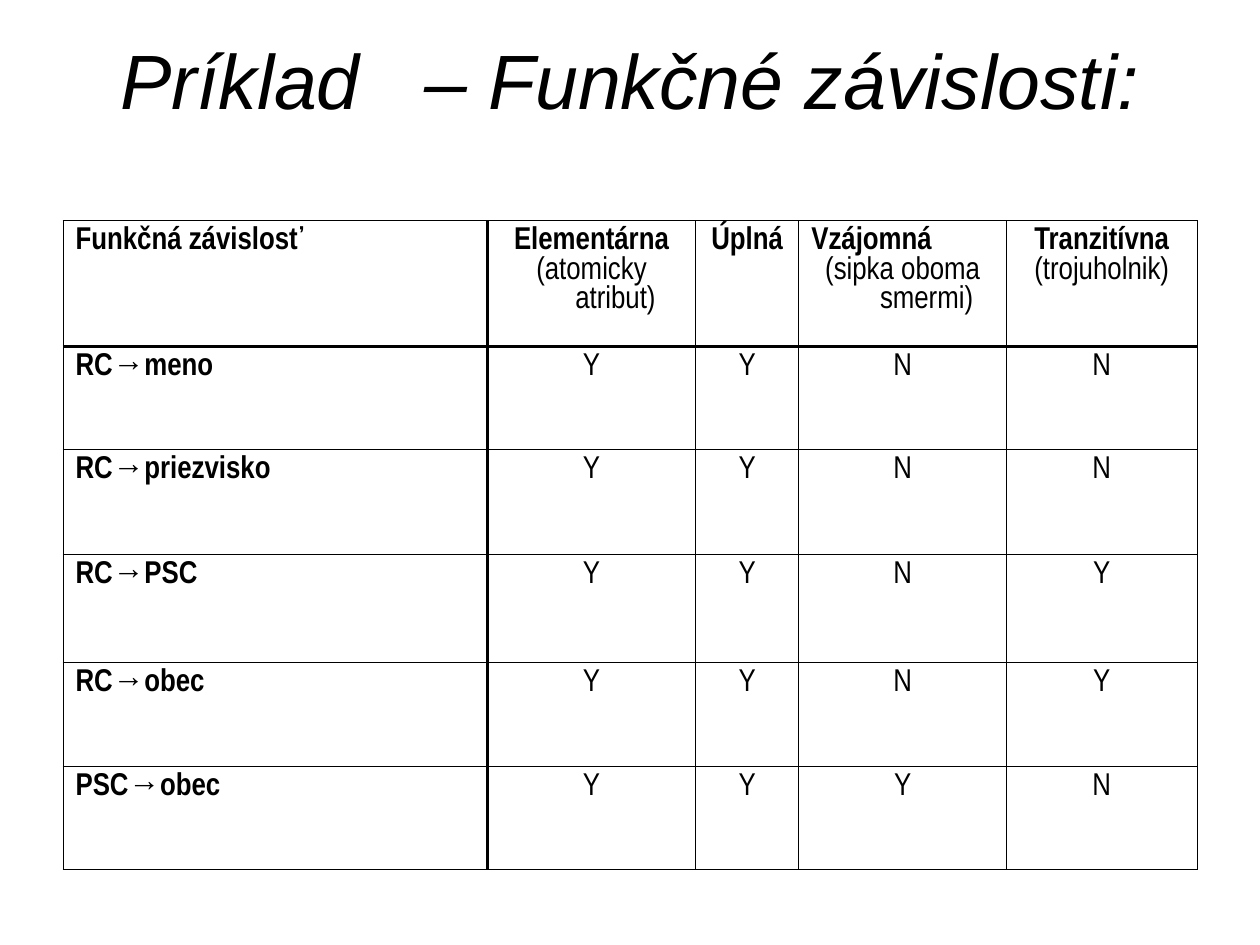
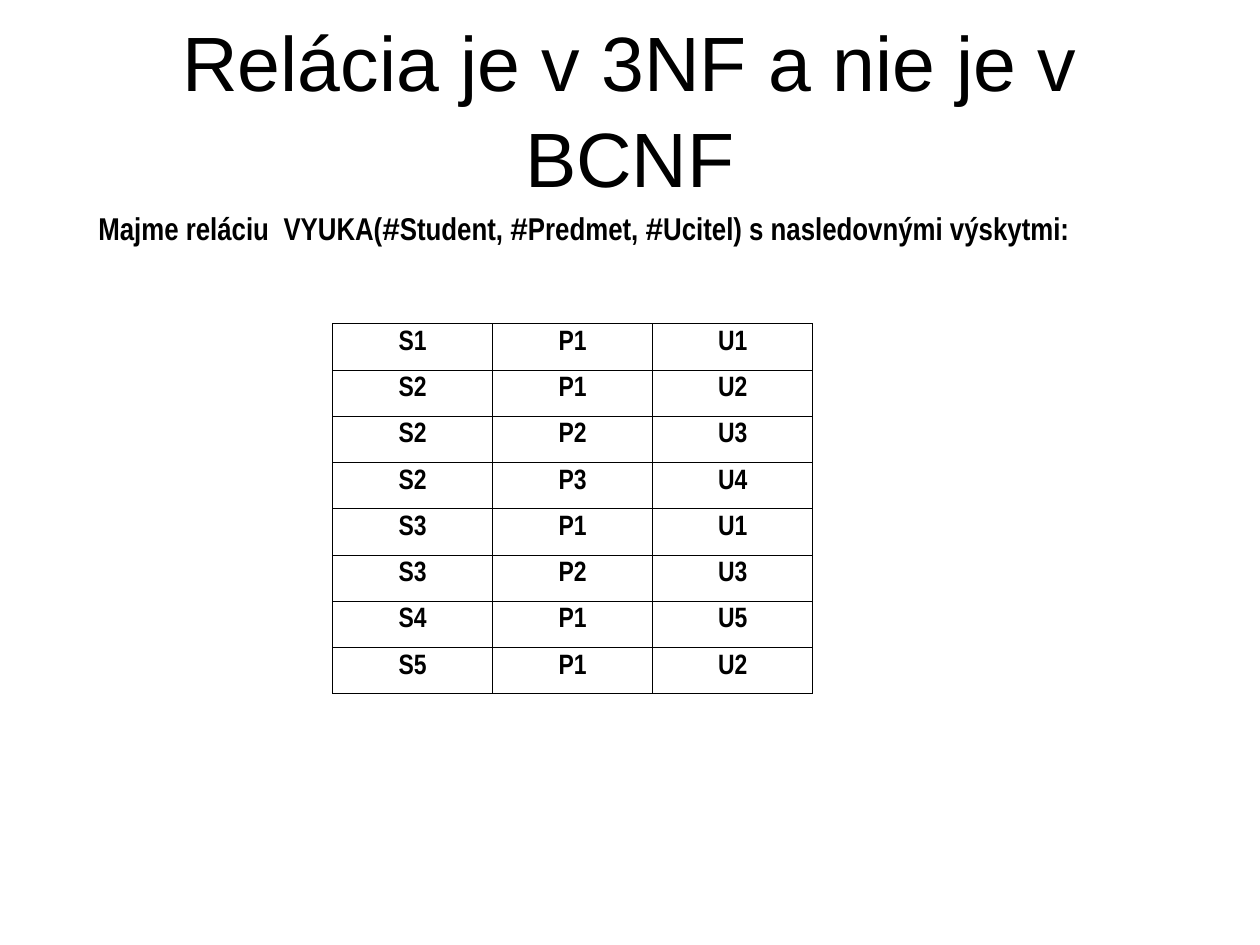
from dataclasses import dataclass

from lxml.etree import SubElement
from pptx import Presentation
from pptx.dml.color import RGBColor
from pptx.enum.text import MSO_ANCHOR, PP_ALIGN
from pptx.oxml.ns import qn
from pptx.util import Inches, Pt


@dataclass(frozen=True)
class Theme:
    ink: str = "000000"
    paper: str = "FFFFFF"
    title_font: str = "Arial"
    body_font: str = "Arial Narrow"
    title_size: float = 44
    body_size: float = 18
    small_size: float = 16
    thin_line: float = 0.45
    thick_line: float = 1.47


class Deck:
    def __init__(self, theme):
        self.theme = theme
        self.presentation = Presentation()
        self.presentation.slide_width = Inches(10)
        self.presentation.slide_height = Inches(7.5)
        self.slide = None

    def add_slide(self):
        layout = self.presentation.slide_layouts[6]
        self.slide = self.presentation.slides.add_slide(layout)
        fill = self.slide.background.fill
        fill.solid()
        fill.fore_color.rgb = RGBColor.from_string(self.theme.paper)

    def format_run(self, run, font_name, size, bold=False, italic=False):
        run.font.name = font_name
        run.font.size = Pt(size)
        run.font.bold = bold
        run.font.italic = italic
        run.font.color.rgb = RGBColor.from_string(self.theme.ink)

    def text_frame(self, left, top, width, height, anchor):
        box = self.slide.shapes.add_textbox(
            Inches(left), Inches(top), Inches(width), Inches(height))
        box.text_frame.vertical_anchor = anchor
        return box.text_frame

    def widen(self, run, points):
        """Widen a single space by letter spacing."""
        run.font._element.set("spc", str(round(points * 100)))

    def title(self, parts, top, height, anchor=MSO_ANCHOR.MIDDLE,
              italic=False, gap=0):
        """Centred title; gap widens the space between its parts."""
        frame = self.text_frame(0.5, top, 9, height, anchor)
        frame.word_wrap = True
        frame.margin_top = frame.margin_bottom = 0
        paragraph = frame.paragraphs[0]
        paragraph.alignment = PP_ALIGN.CENTER
        paragraph.line_spacing = 1.04
        self.runs(paragraph, [(part, self.theme.title_font) for part in parts],
                  self.theme.title_size, gap, italic=italic)

    def statement(self, parts, gap):
        """One bold line of text in mixed fonts."""
        frame = self.text_frame(0.18, 1.19, 8.31, 1.11, MSO_ANCHOR.MIDDLE)
        frame.word_wrap = False
        frame.margin_left, frame.margin_right = Inches(0.6), 0
        frame.margin_top, frame.margin_bottom = Inches(0.17), Inches(0.04)
        self.runs(frame.paragraphs[0], parts, self.theme.body_size, gap, bold=True)

    def runs(self, paragraph, parts, size, gap, **style):
        for text, font_name in parts:
            run = paragraph.add_run()
            run.text = text
            self.format_run(run, font_name, size, **style)
            if text == " ":
                self.widen(run, gap)

    def table(self, left, top, widths, heights):
        frame = self.slide.shapes.add_table(
            len(heights), len(widths), Inches(left), Inches(top),
            Inches(sum(widths)), Inches(sum(heights)))
        table = frame.table
        table.first_row = table.horz_banding = False
        for column, width in zip(table.columns, widths):
            column.width = Inches(width)
        for row, height in zip(table.rows, heights):
            row.height = Inches(height)
        return table

    def cell(self, cell, lines, size, centred=True, hanging=0, thick_sides=()):
        """Fill one cell; lines holds pairs of text and boldness."""
        cell.text_frame.text = "\n".join(text for text, _ in lines)
        for paragraph, (_, bold) in zip(cell.text_frame.paragraphs, lines):
            paragraph.alignment = PP_ALIGN.CENTER if centred else PP_ALIGN.LEFT
            if hanging:
                properties = paragraph._p.get_or_add_pPr()
                properties.set("marL", str(Inches(hanging)))
                properties.set("indent", str(-Inches(hanging)))
            for run in paragraph.runs:
                self.format_run(run, self.theme.body_font, size, bold)
        self.borders(cell, thick_sides)
        cell.fill.solid()
        cell.fill.fore_color.rgb = RGBColor.from_string(self.theme.paper)

    def borders(self, cell, thick_sides):
        properties = cell._tc.get_or_add_tcPr()
        for side in "LRTB":
            weight = self.theme.thick_line if side in thick_sides else self.theme.thin_line
            line = SubElement(properties, qn(f"a:ln{side}"), w=str(Pt(weight)))
            fill = SubElement(line, qn("a:solidFill"))
            SubElement(fill, qn("a:srgbClr"), val=self.theme.ink)


def dependency_slide(deck):
    deck.add_slide()
    deck.title(["Príklad", " ", "– Funkčné závislosti:"], top=0.23, height=1.25,
               anchor=MSO_ANCHOR.TOP, italic=True, gap=24.4)

    # Header: name, explanation
    headers = [("Funkčná závislosť", ""), ("Elementárna", "(atomicky atribut)"),
               ("Úplná", ""), ("Vzájomná", "(sipka oboma smermi)"),
               ("Tranzitívna", "(trojuholnik)")]
    dependencies = [("RC→meno", "YYNN"), ("RC→priezvisko", "YYNN"),
                    ("RC→PSC", "YYNY"), ("RC→obec", "YYNY"), ("PSC→obec", "YYYN")]
    grid = [[[(name, True)] + ([(note, False)] if note else [])
             for name, note in headers]]
    grid += [[[(name, True)]] + [[(answer, False)] for answer in answers]
             for name, answers in dependencies]

    # Thick rules below the header and beside the first column
    table = deck.table(0.5, 1.75, [3.37, 1.65, 0.82, 1.65, 1.51],
                       [1, 0.82, 0.83, 0.86, 0.82, 0.82])
    for row, cells in enumerate(grid):
        for column, lines in enumerate(cells):
            thick_sides = {0: "B", 1: "T"}.get(row, "") + {0: "R", 1: "L"}.get(column, "")
            cell = table.cell(row, column)
            deck.cell(cell, lines, deck.theme.body_size,
                      centred=column > 0 and lines[0][0] != "Vzájomná",
                      hanging=0.38, thick_sides=thick_sides)
            # The explanation stays centred below a left-aligned name
            for paragraph in cell.text_frame.paragraphs[1:]:
                paragraph.alignment = PP_ALIGN.CENTER


def normal_form_slide(deck):
    deck.add_slide()
    deck.title(["Relácia je v 3NF a nie je v BCNF"], top=0.34, height=1.01)

    # Relation schema
    plain, narrow = deck.theme.title_font, deck.theme.body_font
    deck.statement([("Majme reláciu", narrow), (" ", narrow), ("VYUKA(", narrow),
                    ("#", plain), ("Student, ", narrow),
                    ("#", plain), ("Predmet, ", narrow),
                    ("#", plain), ("Ucitel) s nasledovnými výskytmi:", narrow)],
                   gap=4.1)

    # Rows of the relation: student, subject, teacher
    records = ["S1 P1 U1", "S2 P1 U2", "S2 P2 U3", "S2 P3 U4",
               "S3 P1 U1", "S3 P2 U3", "S4 P1 U5", "S5 P1 U2"]
    table = deck.table(2.64, 2.57, [1.27] * 3, [2.93 / len(records)] * len(records))
    for row, record in enumerate(records):
        for column, value in enumerate(record.split()):
            deck.cell(table.cell(row, column), [(value, True)], deck.theme.small_size)


def main():
    deck = Deck(Theme())
    dependency_slide(deck)
    normal_form_slide(deck)
    deck.presentation.save("out.pptx")


if __name__ == "__main__":
    main()
